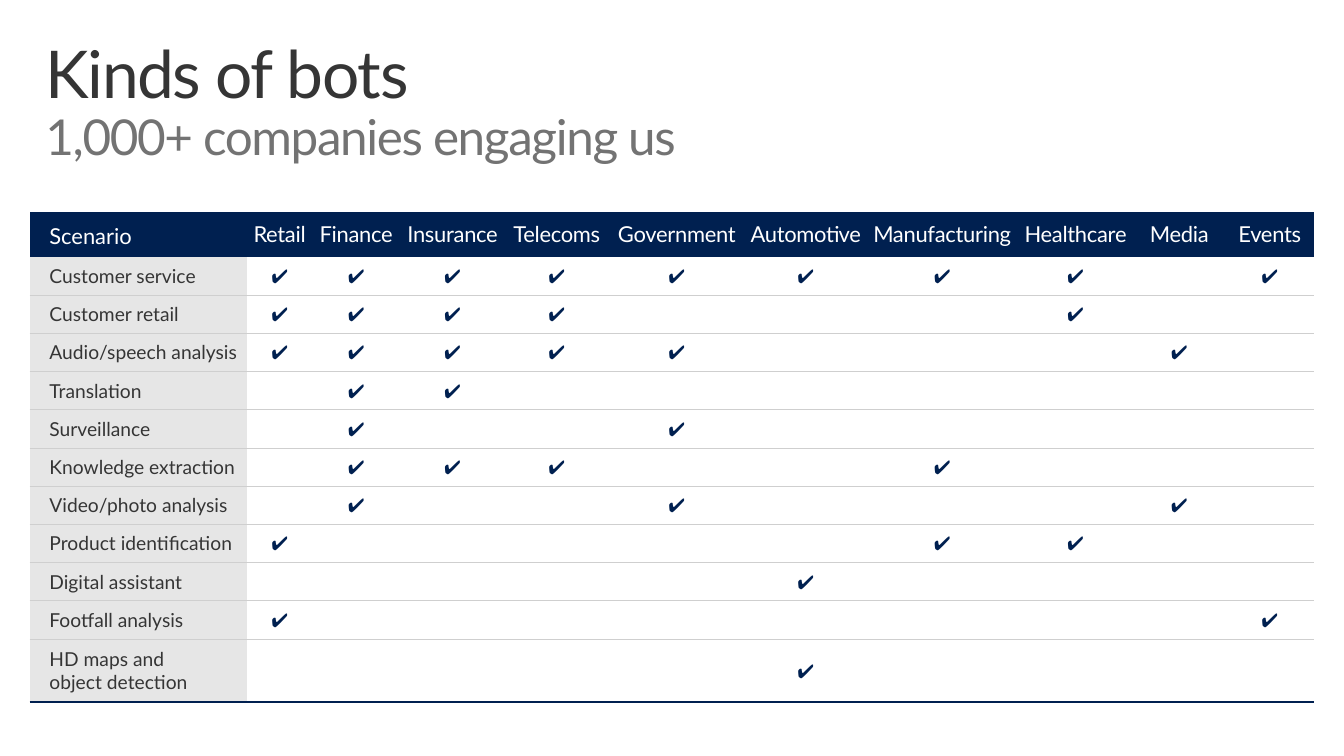
from lxml.etree import SubElement as Sub
from pptx import Presentation
from pptx.dml.color import RGBColor
from pptx.enum.text import MSO_ANCHOR as Anchor, PP_ALIGN as Align
from pptx.oxml.ns import qn
from pptx.util import Inches, Pt

NAVY = RGBColor(0x00, 0x20, 0x50)
WHITE = RGBColor(0xFF, 0xFF, 0xFF)
DARK = RGBColor(0x35, 0x35, 0x35)
GRAY = RGBColor(0x73, 0x73, 0x73)
PALE = RGBColor(0xE6, 0xE6, 0xE6)
RULE = RGBColor(0xCF, 0xCF, 0xCF)
PLAIN = "{2D5ABB26-0587-4C30-8999-92F81FD0307C}"

FIELDS = ["Retail", "Finance", "Insurance", "Telecoms", "Government",
          "Automotive", "Manufacturing", "Healthcare", "Media", "Events"]
WIDTHS = [2.2, 0.66, 0.89, 1.06, 1.05, 1.38, 1.23, 1.53, 1.17, 0.93, 0.9]
USES = [
    ("Customer service", "xxxxxxxx.x"),
    ("Customer retail", "xxxx...x.."),
    ("Audio/speech analysis", "xxxxx...x."),
    ("Translation", ".xx......."),
    ("Surveillance", ".x..x....."),
    ("Knowledge extraction", ".xxx..x..."),
    ("Video/photo analysis", ".x..x...x."),
    ("Product identification", "x.....xx.."),
    ("Digital assistant", ".....x...."),
    ("Footfall analysis", "x........x"),
    ("HD maps and\nobject detection", ".....x...."),
]
HEAD, LAST, TALL = 0.45, 0.64, 4.96


def write(para, text, font="Lato", size=14, color=DARK, align=None, track=0):
    """Add text to a paragraph, with line breaks and letter spacing."""
    para.alignment = align
    for i, part in enumerate(text.split("\n")):
        if i:
            para.add_line_break()
        if part:
            run = para.add_run()
            run.text = part
            run.font.name = font
            run.font.size = Pt(size)
            run.font.color.rgb = color
            run.font._element.set("spc", str(round(track * 100)))
    if not text:
        Sub(para._p, qn("a:endParaRPr"), sz=str(size * 100))


class Deck:
    """Holds the style and the current slide."""

    def __init__(self):
        """Open a deck with one blank slide."""
        self.deck = Presentation()
        self.deck.slide_width = Inches(13.6)
        self.deck.slide_height = Inches(7.65)
        self.slide = self.deck.slides.add_slide(self.deck.slide_layouts[6])

    def title(self, main, sub):
        """Place the title with its second line."""
        box = self.slide.shapes.add_textbox(
            Inches(0.3), Inches(0.32), Inches(13), Inches(1))
        frame = box.text_frame
        frame.word_wrap = True
        frame.margin_left = frame.margin_right = Inches(0.16)
        frame.margin_top = frame.margin_bottom = Inches(0.1)
        para = frame.paragraphs[0]
        para.line_spacing = 0.9
        write(para, main + "\n", size=48, track=-1)
        write(para, sub, size=36, color=GRAY, track=-1)

    def edge(self, cell, tag, color=None, width=0.5):
        """Draw one cell border, or clear it."""
        line = Sub(cell._tc.get_or_add_tcPr(), qn(tag), w=str(Pt(width)))
        if color is None:
            Sub(line, qn("a:noFill"))
        else:
            fill = Sub(line, qn("a:solidFill"))
            Sub(fill, qn("a:srgbClr"), val=str(color))

    def cell(self, cell, text, fill=None, top=None, low=None, thick=0.5,
             left=0.04, foot=0.06, anchor=Anchor.MIDDLE, **style):
        """Fill one table cell."""
        cell.margin_left, cell.margin_right = Inches(left), Inches(0.04)
        cell.margin_top, cell.margin_bottom = Inches(0.06), Inches(foot)
        cell.vertical_anchor = anchor
        write(cell.text_frame.paragraphs[0], text, **style)
        self.edge(cell, "a:lnL")
        self.edge(cell, "a:lnR")
        self.edge(cell, "a:lnT", top)
        self.edge(cell, "a:lnB", low, thick)
        if fill is None:
            cell.fill.background()
        else:
            cell.fill.solid()
            cell.fill.fore_color.rgb = fill

    def table(self):
        """Build the grid of scenarios and fields."""
        count = len(USES)
        grid = self.slide.shapes.add_table(
            count + 1, len(WIDTHS), Inches(0.3), Inches(2.15),
            Inches(13), Inches(TALL)).table
        grid.first_row = grid.horz_banding = False
        grid._tbl.tblPr.find(qn("a:tableStyleId")).text = PLAIN
        for col, width in zip(grid.columns, WIDTHS):
            col.width = Inches(width)
        step = (TALL - HEAD - LAST) / (count - 1)
        for row, high in zip(grid.rows, [HEAD] + [step] * (count - 1) + [LAST]):
            row.height = Inches(high)

        head = dict(fill=NAVY, foot=0.08, size=16, color=WHITE)
        self.cell(grid.cell(0, 0), "Scenario", left=0.2,
                  anchor=Anchor.BOTTOM, **head)
        for c, name in enumerate(FIELDS, 1):
            self.cell(grid.cell(0, c), name, align=Align.CENTER,
                      track=-0.2, **head)
        for r, (name, marks) in enumerate(USES, 1):
            end = r == count
            rule = dict(top=RULE if r > 1 else None,
                        low=NAVY if end else RULE, thick=1.5 if end else 0.5)
            self.cell(grid.cell(r, 0), name, fill=PALE, left=0.2, **rule)
            for c, mark in enumerate(marks, 1):
                self.cell(grid.cell(r, c), "✔" if mark == "x" else "",
                          color=NAVY, align=Align.CENTER, **rule)


def main():
    """Build and save the slide."""
    deck = Deck()
    deck.title("Kinds of bots", "1,000+ companies engaging us")
    deck.table()
    deck.deck.save("out.pptx")


if __name__ == "__main__":
    main()
